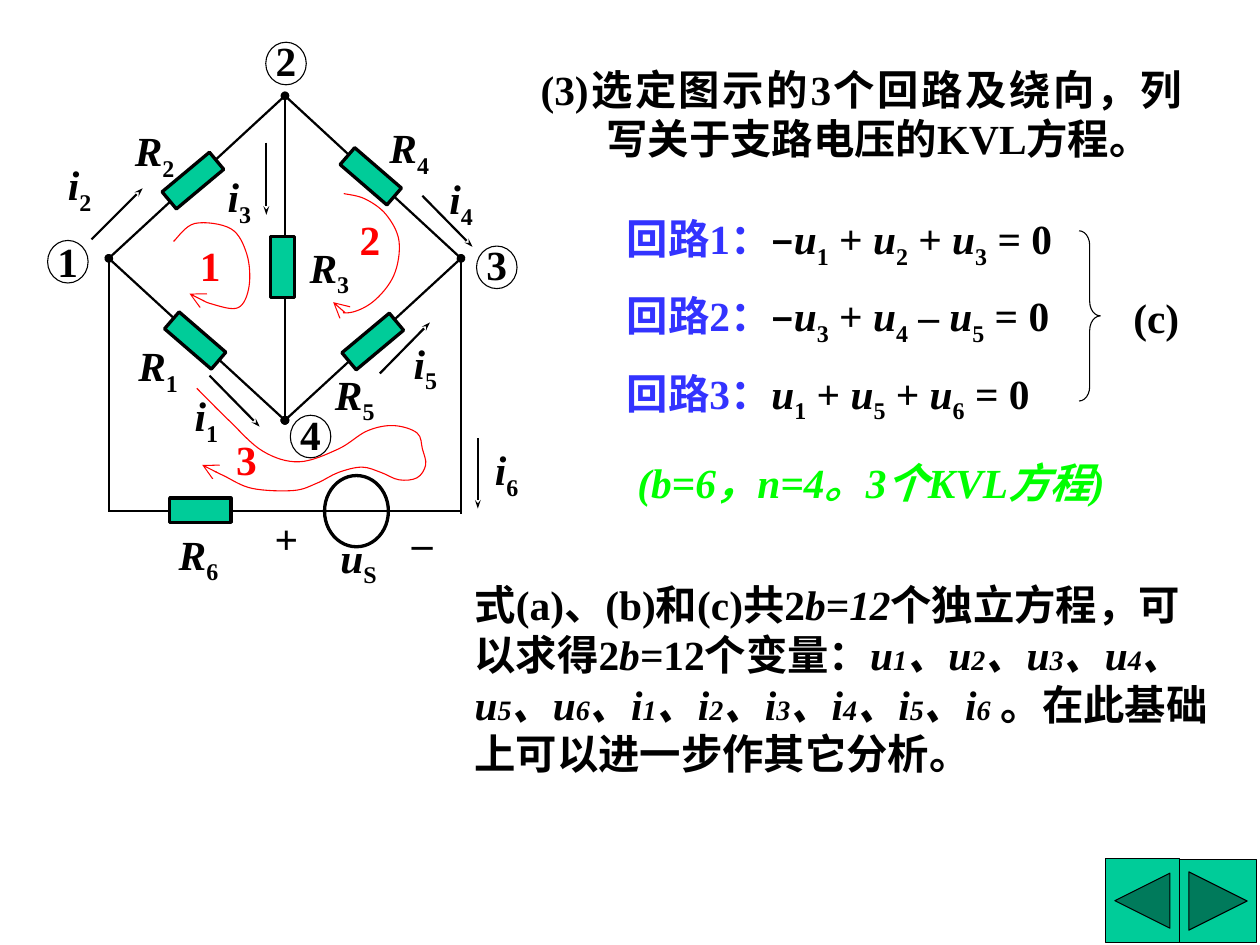
import pptx
import pptx.util
import pptx.dml.color
import pptx.enum.shapes
import pptx.enum.text
import pptx.oxml.ns
from lxml import etree

Pt = pptx.util.Pt
SHAPE = pptx.enum.shapes.MSO_SHAPE
ALIGN = pptx.enum.text.PP_ALIGN
BLACK, RED, BLUE, GREEN, TEAL = "000000", "FF0000", "3333FF", "00FF00", "00CC99"


def rgb(color):
    return pptx.dml.color.RGBColor.from_string(color)


def add_child(parent, tag, **attrs):
    return etree.SubElement(parent, pptx.oxml.ns.qn(tag), attrs)


def style_line(s, color, width, head=None, tail=None, tail_width="med", tail_length="med"):
    s.line.color.rgb = rgb(color)
    s.line.width = Pt(width)
    ln = s.line._get_or_add_ln()
    if head:
        add_child(ln, "a:headEnd", type=head)
    if tail:
        add_child(ln, "a:tailEnd", type=tail, w=tail_width, len=tail_length)


def add_line(slide, start, end, head=None, tail=None, tail_width="med"):
    s = slide.shapes.add_connector(
        pptx.enum.shapes.MSO_CONNECTOR.STRAIGHT, *map(Pt, start + end))
    style_line(s, BLACK, 1.5, head, tail, tail_width)
    add_child(s._element.spPr, "a:effectLst")


def add_shape(slide, kind, x, y, w, h, fill=None, width=0.75, rotation=0):
    s = slide.shapes.add_shape(kind, Pt(x), Pt(y), Pt(w), Pt(h))
    s.shadow.inherit = False
    s.rotation = rotation
    if fill:
        s.fill.solid()
        s.fill.fore_color.rgb = rgb(fill)
    else:
        s.fill.background()
    style_line(s, BLACK, width)
    return s


def add_run(p, text, style="", color=BLACK, size=28):
    r = p.add_run()
    r.text = text
    r.font.name = "Times New Roman"
    r.font.size = Pt(size)
    r.font.bold = True
    r.font.italic = "i" in style
    r.font.color.rgb = rgb(color)
    if "_" in style:
        r._r.get_or_add_rPr().set("baseline", "-25000")


def add_text(slide, x, y, w, h, *paragraphs, wrap=True):
    s = slide.shapes.add_textbox(Pt(x), Pt(y), Pt(w), Pt(h))
    tf = s.text_frame
    tf.word_wrap = wrap
    tf.auto_size = pptx.enum.text.MSO_AUTO_SIZE.SHAPE_TO_FIT_TEXT
    tf.margin_left = tf.margin_right = Pt(8.64)
    tf.margin_top = tf.margin_bottom = Pt(4.32)
    for n, runs in enumerate(paragraphs):
        p = tf.add_paragraph() if n else tf.paragraphs[0]
        if n:
            p.space_before = Pt(14)
        for run in runs:
            add_run(p, *run)
    return tf


def add_symbol(slide, x, y, letter, sub):
    add_text(slide, x, y, 46.1, 42, [(letter, "i"), (sub, "_")])


def add_node(slide, number, label, circle):
    add_text(slide, *label, 34.6, 42, [(number,)])
    add_shape(slide, SHAPE.OVAL, *circle, 27.4, 28.8)


def bend(path):
    segments = list(path)
    points = [(int(pt.get("x")), int(pt.get("y"))) for pt in path.iter(pptx.oxml.ns.qn("a:pt"))]
    padded = [points[0], *points, points[-1]]
    for old, a, b, c, d in zip(segments[1:], padded, padded[1:], padded[2:], padded[3:]):
        path.remove(old)
        curve = add_child(path, "a:cubicBezTo")
        first = [q + (r - p) / 6 for p, q, r in zip(a, b, c)]
        second = [r - (s - q) / 6 for q, r, s in zip(b, c, d)]
        for x, y in (first, second, c):
            add_child(curve, "a:pt", x=str(round(x)), y=str(round(y)))


def add_loop(slide, number, label, points):
    start, *rest = [(Pt(x), Pt(y)) for x, y in points]
    builder = slide.shapes.build_freeform(*start)
    builder.add_line_segments(rest, close=False)
    s = builder.convert_to_shape()
    bend(next(s._element.iter(pptx.oxml.ns.qn("a:path"))))
    s.shadow.inherit = False
    s.fill.background()
    style_line(s, RED, 0.75, tail="arrow", tail_width="lg", tail_length="lg")
    add_text(slide, *label, 31, 42, [(number, "", RED)], wrap=False)


def add_circuit(slide):
    left, top, right, bottom = (73.6, 174.8), (192.8, 64.8), (311.9, 174.8), (192.8, 284.4)
    base = 345.6
    add_line(slide, top, bottom, "oval", "oval")
    add_line(slide, top, right)
    add_line(slide, left, bottom, "oval", "oval")
    add_line(slide, right, bottom, "oval", "oval")
    add_line(slide, top, left)
    add_line(slide, left, (left[0], 346.3))
    add_line(slide, right, (right[0], 347.6))
    add_line(slide, (74, base), (312.3, base))

    for x, y, rotation in ((132.1, 230.4, 310.8), (130.5, 122.2, 50.1), (191.2, 180.7, 0),
                           (250.9, 119.3, 310.8), (252.2, 231.1, 50.1), (135.5, 345.2, 90)):
        w, h = (16.4, 41.5) if rotation in (0, 90) else (15.1, 41.8)
        add_shape(slide, SHAPE.RECTANGLE, x - w / 2, y - h / 2, w, h, TEAL, 2.25, rotation)
    add_shape(slide, SHAPE.OVAL, 219.6, 321.8, 43.2, 48.2, None, 2.25)

    resistors = ((85, 226), (82.6, 80.6), (200.9, 159.3), (254.9, 78.5), (218, 245.5), (112.3, 353.5))
    currents = ((123.1, 259.9), (37.4, 103.7), (145.4, 111.6), (295.4, 113), (271.2, 224.6), (326.2, 296.4))
    for letter, places in (("R", resistors), ("i", currents)):
        for n, (x, y) in enumerate(places, 1):
            add_symbol(slide, x, y, letter, str(n))
    add_symbol(slide, 221.6, 355.7, "u", "S")
    add_text(slide, 177.1, 342.7, 42.5, 42, [("+",)])
    add_text(slide, 270, 345.6, 42.5, 42, [("–",)])

    for start, end in (((141.8, 254.2), (175.7, 288.7)), ((61.9, 162), (96.5, 127.4)),
                       ((180.2, 96.5), (180.2, 145.4)), ((285.8, 132.5), (319.7, 167)),
                       ((257, 252.7), (290.9, 218.2)), ((323.3, 296.6), (323.3, 344.2))):
        add_line(slide, start, end, tail="stealth", tail_width="sm")
    add_node(slide, "1", (30.2, 155.5), (32.2, 162.7))
    add_node(slide, "2", (177.8, 19.4), (179.8, 28.6))
    add_node(slide, "3", (320.4, 157.7), (322.4, 166.5))
    add_node(slide, "4", (194.4, 272.2), (196.4, 281))


def add_loops(slide):
    add_loop(slide, "1", (126.6, 158.4), [
        (117.4, 163.4), (131.8, 151.2), (156.2, 154.8), (167, 172.1),
        (168.5, 193.7), (161.3, 208.1), (144, 205.9), (128.2, 198.7)])
    add_loop(slide, "2", (234.7, 140.4), [
        (232.6, 131), (247, 134.6), (261.4, 145.4), (270, 163.4),
        (266.4, 186.5), (252, 204.5), (234.7, 211.7), (225.4, 204.5)])
    add_loop(slide, "3", (151.2, 289.4), [
        (133.2, 262.8), (154.8, 284.4), (177.8, 305.3), (202.3, 312.5), (229, 303.8),
        (248.4, 291.6), (266.4, 288), (282.2, 293), (285.8, 303.8), (288, 314.6),
        (282.2, 323.3), (270, 324.7), (257.8, 319.7), (244.8, 316.1), (229, 319.7),
        (214.6, 326.9), (198.7, 331.9), (170.6, 330.5), (151.2, 321.8), (136.8, 314.6)])


def equation(number, *terms):
    runs = [(f"回路{number}：", "", BLUE)]
    for sign, sub in terms:
        if sign:
            runs.append((sign,))
        runs += [("u", "i"), (sub, "_")]
    return runs + [(" = 0",)]


def add_equations(slide):
    tf = add_text(slide, 357.1, 38.9, 451.4, 75.6,
                  [("(3)选定图示的3个回路及绕向，列写关于支路电压的KVL方程。",)])
    p = tf.paragraphs[0]
    p.alignment = ALIGN.JUSTIFY
    pPr = p._p.get_or_add_pPr()
    pPr.set("marL", str(Pt(44.6)))
    pPr.set("indent", str(Pt(-44.6)))

    add_text(slide, 415.4, 140, 330.5, 143.3,
             equation(1, ("–", "1"), (" + ", "2"), (" + ", "3")),
             equation(2, ("–", "3"), (" + ", "4"), (" – ", "5")),
             equation(3, ("", "1"), (" + ", "5"), (" + ", "6")))
    brace = add_shape(slide, SHAPE.RIGHT_BRACE, 730.1, 156.2, 14.4, 115.2)
    brace.adjustments[0] = 0.68
    add_text(slide, 758.2, 193.4, 61.9, 42, [("(c)",)])
    add_text(slide, 422.6, 305.3, 357.1, 42, [("(b=6，n=4。3个KVL方程)", "i", GREEN)])


def add_conclusion(slide):
    runs = [("式(a)、(b)和(c)共2",), ("b=12", "i"), ("个独立方程，可以求得2",),
            ("b=", "i"), ("12个变量：",)]
    separator = ""
    for letter in "ui":
        for n in range(1, 7):
            runs += [(separator + letter, "i"), (str(n), "i", BLACK, 19)]
            separator = "、"
    runs.append((" 。在此基础上可以进一步作其它分析。",))
    add_text(slide, 312.5, 387.8, 520.6, 143.3, runs)


def main():
    prs = pptx.Presentation()
    prs.slide_width, prs.slide_height = Pt(852.5), Pt(639.4)
    slide = prs.slides.add_slide(prs.slide_layouts[6])
    add_circuit(slide)
    add_equations(slide)
    add_shape(slide, SHAPE.ACTION_BUTTON_FORWARD_OR_NEXT, 797.8, 581.4, 52.6, 56.5, TEAL)
    add_shape(slide, SHAPE.ACTION_BUTTON_BACK_OR_PREVIOUS, 748.1, 581, 49.7, 56.9, TEAL)
    add_loops(slide)
    add_conclusion(slide)
    prs.save("out.pptx")


if __name__ == "__main__":
    main()
